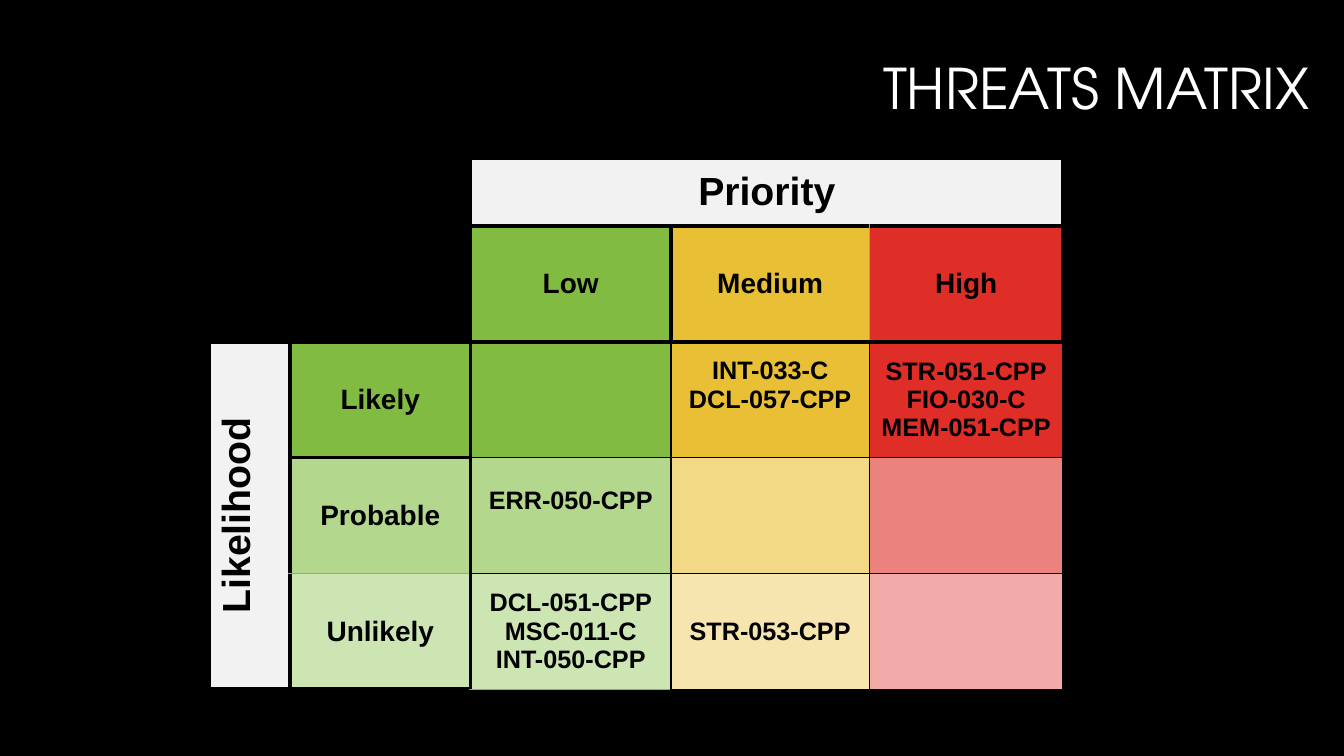
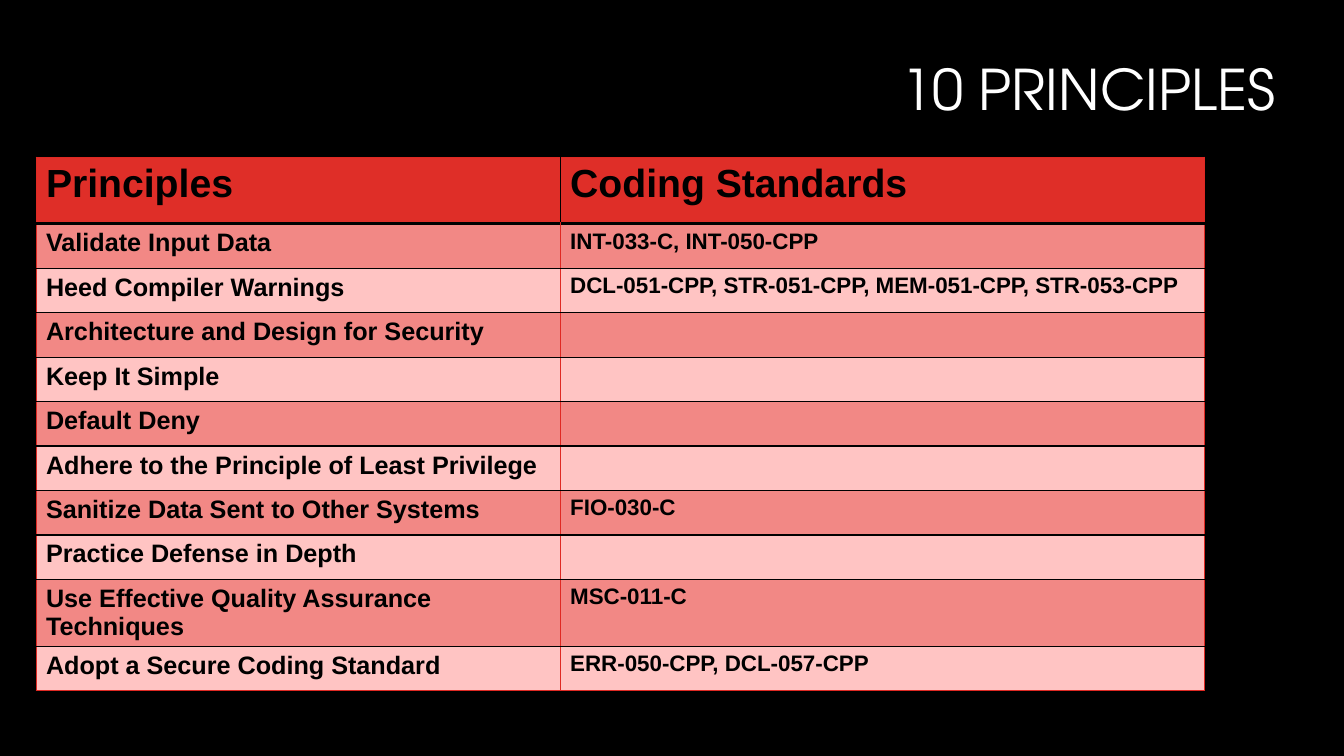
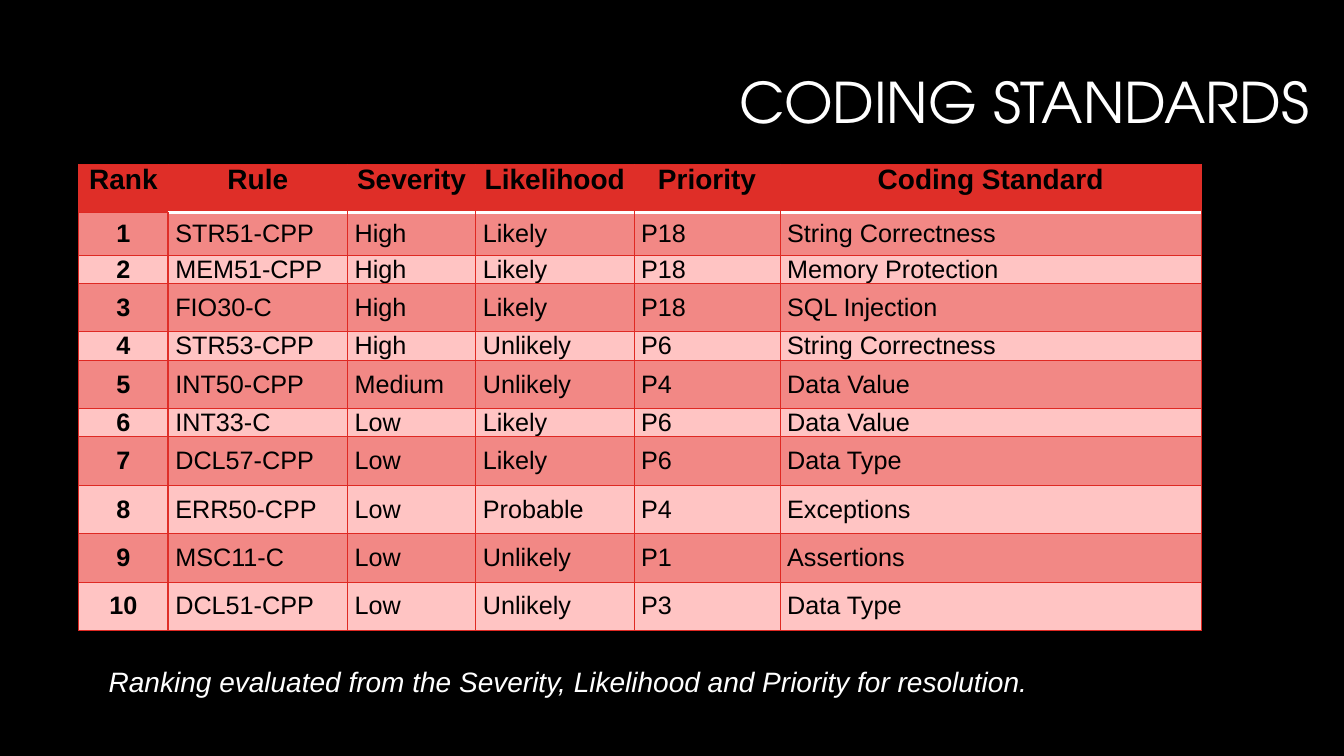
from lxml.etree import SubElement
from pptx import Presentation
from pptx.dml.color import RGBColor as Rgb
from pptx.enum.text import MSO_ANCHOR as Anchor, MSO_AUTO_SIZE as Auto, PP_ALIGN as Align
from pptx.oxml.ns import qn
from pptx.util import Cm, Pt

# Shared look
HUES = {
    "black": "000000", "white": "FFFFFF", "pale": "F2F2F2", "grey": "9E9E9E",
    "red": "DF2E28", "line": "DF2923", "rose": "F28885", "pink": "FFC4C3",
    "green": "81BB42", "green2": "B3D78D", "green3": "CDE4B3",
    "gold": "E9BF35", "gold2": "F2D986", "gold3": "F6E5AE",
    "red2": "EC827E", "red3": "F2ABA9",
}
HEAD, BODY = "TeX Gyre Adventor", "Arial"
LEFT, MID = Align.LEFT, Align.CENTER
INSET = (0.25, 0.13, 0.25, 0.13)
THICK, THIN, FAINT = ("black", 3), ("black", 1), ("grey", 0.75)
RED = ("line", 0.75)

# Threats matrix: text and fill of each cell
THREATS = [
    [("", "black"), ("", "black"), ("Priority", "pale"), ("", "pale"), ("", "pale")],
    [("", "black"), ("", "black"), ("Low", "green"), ("Medium", "gold"), ("High", "red")],
    [("Likelihood", "pale"), ("Likely", "green"), ("", "green"),
     ("INT-033-C\nDCL-057-CPP", "gold"),
     ("STR-051-CPP\nFIO-030-C\nMEM-051-CPP", "red")],
    [("", "pale"), ("Probable", "green2"), ("ERR-050-CPP", "green2"),
     ("", "gold2"), ("", "red2")],
    [("", "pale"), ("Unlikely", "green3"),
     ("DCL-051-CPP\nMSC-011-C\nINT-050-CPP", "green3"),
     ("STR-053-CPP", "gold3"), ("", "red3")],
]
RAISED = {(2, 3), (3, 2)}  # cells whose text sits above the middle

RULES = [
    ("Principles", "Coding Standards"),
    ("Validate Input Data", "INT-033-C, INT-050-CPP"),
    ("Heed Compiler Warnings", "DCL-051-CPP, STR-051-CPP, MEM-051-CPP, STR-053-CPP"),
    ("Architecture and Design for Security", ""),
    ("Keep It Simple", ""),
    ("Default Deny", ""),
    ("Adhere to the Principle of Least Privilege", ""),
    ("Sanitize Data Sent to Other Systems", "FIO-030-C"),
    ("Practice Defense in Depth", ""),
    ("Use Effective Quality Assurance Techniques", "MSC-011-C"),
    ("Adopt a Secure Coding Standard", "ERR-050-CPP, DCL-057-CPP"),
]

RANKS = [
    ("Rank", "Rule", "Severity", "Likelihood", "Priority", "Coding Standard"),
    ("1", "STR51-CPP", "High", "Likely", "P18", "String Correctness"),
    ("2", "MEM51-CPP", "High", "Likely", "P18", "Memory Protection"),
    ("3", "FIO30-C", "High", "Likely", "P18", "SQL Injection"),
    ("4", "STR53-CPP", "High", "Unlikely", "P6", "String Correctness"),
    ("5", "INT50-CPP", "Medium", "Unlikely", "P4", "Data Value"),
    ("6", "INT33-C", "Low", "Likely", "P6", "Data Value"),
    ("7", "DCL57-CPP", "Low", "Likely", "P6", "Data Type"),
    ("8", "ERR50-CPP", "Low", "Probable", "P4", "Exceptions"),
    ("9", "MSC11-C", "Low", "Unlikely", "P1", "Assertions"),
    ("10", "DCL51-CPP", "Low", "Unlikely", "P3", "Data Type"),
]
NOTE = "Ranking evaluated from the Severity, Likelihood and Priority for resolution."


def hue(name):
    return Rgb.from_string(HUES[name])


def write(para, text, size, color="black", face=BODY, bold=False, italic=False):
    for i, line in enumerate(text.split("\n")):
        if i:
            para.add_line_break()
        run = para.add_run()
        run.text = line
        font = run.font
        font.name, font.size, font.bold, font.italic = face, Pt(size), bold, italic
        font.color.rgb = hue(color)


def start(deck, text, box):
    """Add a slide with its title."""
    slide = deck.slides.add_slide(deck.slide_layouts[5])
    title = slide.shapes.title
    title.left, title.top, title.width, title.height = map(Cm, box)
    frame = title.text_frame
    frame.auto_size, frame.word_wrap = Auto.NONE, True
    frame.vertical_anchor = Anchor.MIDDLE
    para = frame.paragraphs[0]
    para.alignment, para.line_spacing = Align.RIGHT, 0.9
    write(para, text, 40, "white", HEAD)
    return slide


def grid(slide, left, top, cols, rows, down, across):
    """Add a table; down and across give the line left of and above a cell."""
    table = slide.shapes.add_table(
        len(rows), len(cols), Cm(left), Cm(top), Cm(sum(cols)), Cm(sum(rows))).table
    table.first_row = table.horz_banding = False
    for col, wide in zip(table.columns, cols):
        col.width = Cm(wide)
    for row, high in zip(table.rows, rows):
        row.height = Cm(high)
    for r in range(len(rows)):
        for c in range(len(cols)):
            props = table.cell(r, c)._tc.get_or_add_tcPr()
            edges = {"L": down(r, c), "R": down(r, c + 1),
                     "T": across(r, c), "B": across(r + 1, c)}
            for side, (color, wide) in edges.items():
                line = SubElement(props, qn("a:ln" + side), w=str(Pt(wide)))
                fill = SubElement(line, qn("a:solidFill"))
                SubElement(fill, qn("a:srgbClr"), val=HUES[color])
    return table


def put(cell, text, fill, size, bold=True, align=LEFT, anchor=Anchor.TOP, inset=INSET):
    cell.fill.solid()
    cell.fill.fore_color.rgb = hue(fill)
    cell.vertical_anchor = anchor
    (cell.margin_left, cell.margin_top,
     cell.margin_right, cell.margin_bottom) = map(Cm, inset)
    if text:
        para = cell.text_frame.paragraphs[0]
        para.alignment = align
        write(para, text, size, bold=bold)


def band(r):
    return "red" if r == 0 else "rose" if r % 2 else "pink"


def threats(deck):
    def down(r, c):
        if (r, c) == (1, 4):
            return FAINT
        return THIN if r > 1 and c > 2 else THICK

    def across(r, c):
        if (r, c) in ((4, 1), (5, 2)):
            return FAINT
        return THIN if r > 2 and c > 1 else THICK

    slide = start(deck, "THREATS MATRIX", (21.77, 1.42, 11.48, 1.78))
    table = grid(slide, 5.28, 3.99, [2.03, 4.55, 5.05, 5, 4.88],
                 [1.7] + [2.92] * 4, down, across)
    for r, row in enumerate(THREATS):
        for c, (text, fill) in enumerate(row):
            size = 28 if r == 0 or c == 0 else 20 if r == 1 or c == 1 else 18
            inset = INSET[:3] + (0.85,) if (r, c) in RAISED else INSET
            put(table.cell(r, c), text, fill, size, True, MID, Anchor.MIDDLE, inset)
    table.cell(0, 2).merge(table.cell(0, 4))
    side = table.cell(2, 0)
    side.merge(table.cell(4, 0))
    side._tc.get_or_add_tcPr().set("vert", "vert270")


def rules(deck):
    def down(r, c):
        return THIN if (r, c) == (0, 1) else RED

    def across(r, c):
        if r in (0, len(RULES)):
            return RED
        return ("black", 2.25) if r == 1 else THIN

    slide = start(deck, "10 PRINCIPLES", (21.59, 1.19, 10.8, 2.26))
    table = grid(slide, 0.91, 3.96, [13.21, 16.23], [1.68] + [1.12] * 10, down, across)
    for r, row in enumerate(RULES):
        for c, text in enumerate(row):
            put(table.cell(r, c), text, band(r), (18, 16)[c] if r else 28)


def ranks(deck):
    def down(r, c):
        if r == 0:
            return ("red", 0.75)
        return ("red", 2) if c == 1 else RED

    def across(r, c):
        return ("white", 2) if r == 1 and c else RED

    slide = start(deck, "CODING STANDARDS", (17.65, 1.35, 15.6, 2.59))
    high, low = 1.22, 0.61
    table = grid(slide, 1.98, 4.14, [2.26, 4.52, 3.23, 3.99, 3.68, 10.62],
                 [high, 1.07] + [low, high] * 3 + [high] * 3, down, across)
    for r, row in enumerate(RANKS):
        for c, text in enumerate(row):
            lead = r == 0 or c == 0
            put(table.cell(r, c), text, band(r), 18 if r else 20, lead,
                MID if lead else LEFT, Anchor.MIDDLE if r else Anchor.TOP,
                (0.18, 0, 0.18, 0))
    # Note below the table
    note = slide.shapes.add_textbox(Cm(2.49), Cm(16.61), Cm(26.52), Cm(1.12))
    note.text_frame.word_wrap = True
    write(note.text_frame.paragraphs[0], NOTE, 20, "white", italic=True)


def main():
    deck = Presentation()
    deck.slide_width, deck.slide_height = Cm(33.87), Cm(19.05)
    back = deck.slide_master.background.fill
    back.solid()
    back.fore_color.rgb = hue("black")
    for build in (threats, rules, ranks):
        build(deck)
    deck.save("out.pptx")


if __name__ == "__main__":
    main()
